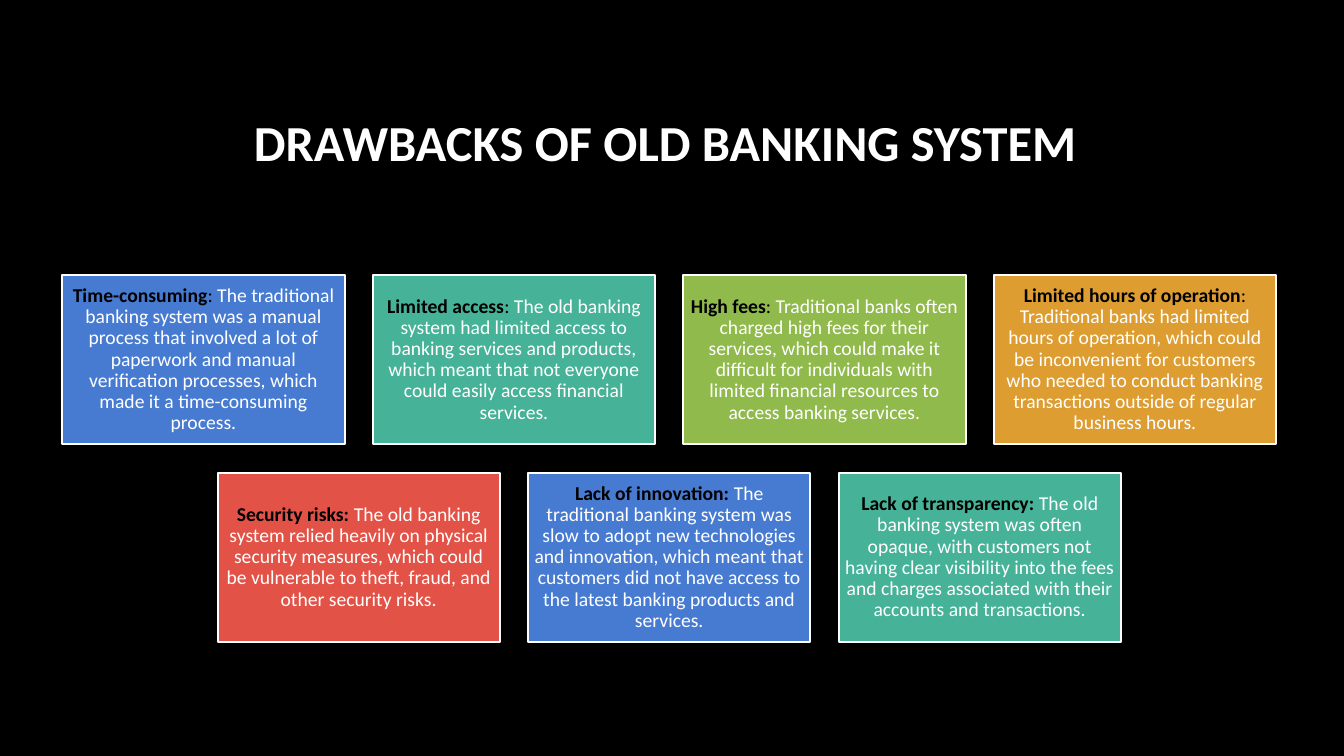
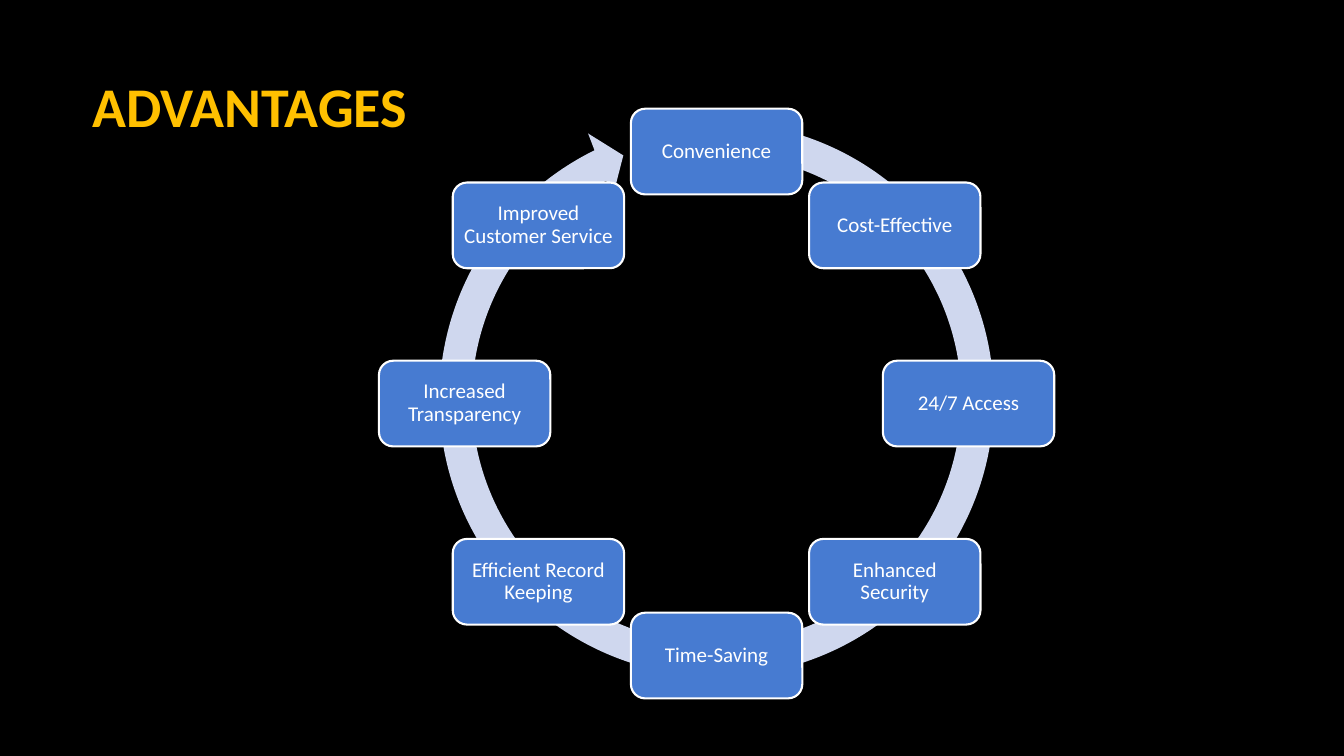
import math
from collections import namedtuple
from dataclasses import dataclass

from pptx import Presentation
from pptx.dml.color import RGBColor
from pptx.enum.shapes import MSO_SHAPE
from pptx.enum.text import MSO_ANCHOR, PP_ALIGN
from pptx.util import Cm, Pt

RECTANGLE = MSO_SHAPE.RECTANGLE
ROUNDED = MSO_SHAPE.ROUNDED_RECTANGLE
CIRCULAR_ARROW = MSO_SHAPE.CIRCULAR_ARROW
MIDDLE = MSO_ANCHOR.MIDDLE
CENTER = PP_ALIGN.CENTER

Box = namedtuple("Box", "left top width height")
Drawback = namedtuple("Drawback", "label colon body color")


@dataclass(frozen=True)
class Theme:
    font: str = "Calibri"
    black: str = "000000"
    white: str = "FFFFFF"
    gold: str = "FFC000"
    blue: str = "477BD1"
    teal: str = "46B298"
    green: str = "90BA4C"
    orange: str = "DD9D31"
    red: str = "E25247"
    ring: str = "CFD7EE"
    drawbacks_title: int = 36
    advantages_title: int = 40
    card_text: int = 14
    step_text: int = 15
    outline: float = 1.5
    inset: float = 0.14
    line_spacing: float = 0.9


THEME = Theme()

DRAWBACKS = [
    Drawback("Time-consuming", ":",
             " The traditional banking system was a manual process that involved a lot of "
             "paperwork and manual verification processes, which made it a time-consuming "
             "process.", THEME.blue),
    Drawback("Limited access", ":",
             " The old banking system had limited access to banking services and products, "
             "which meant that not everyone could easily access financial services.",
             THEME.teal),
    Drawback("High fees", ":",
             " Traditional banks often charged high fees for their services, which could "
             "make it difficult for individuals with limited financial resources to access "
             "banking services.", THEME.green),
    Drawback("Limited hours of operation", ":",
             " Traditional banks had limited hours of operation, which could be inconvenient "
             "for customers who needed to conduct banking transactions outside of regular "
             "business hours.", THEME.orange),
    Drawback("Security risks:", "",
             " The old banking system relied heavily on physical security measures, which "
             "could be vulnerable to theft, fraud, and other security risks.", THEME.red),
    Drawback("Lack of innovation: ", "",
             "The traditional banking system was slow to adopt new technologies and "
             "innovation, which meant that customers did not have access to the latest "
             "banking products and services.", THEME.blue),
    Drawback("Lack of transparency: ", "",
             "The old banking system was often opaque, with customers not having clear "
             "visibility into the fees and charges associated with their accounts and "
             "transactions.", THEME.teal),
]

ADVANTAGES = [
    "Convenience", "Cost-Effective", "24/7 Access", "Enhanced Security",
    "Time-Saving", "Efficient Record Keeping", "Increased Transparency",
    "Improved Customer Service",
]


def rgb(color):
    return RGBColor.from_string(color)


def lengths(box):
    return [Cm(value) for value in box]


def format_run(run, size, color, bold=False):
    run.font.name = THEME.font
    run.font.size = Pt(size)
    run.font.bold = bold
    run.font.color.rgb = rgb(color)


def add_dark_slide(deck):
    slide = deck.slides.add_slide(deck.slide_layouts[6])
    slide.background.fill.solid()
    slide.background.fill.fore_color.rgb = rgb(THEME.black)
    return slide


def add_title(slide, box, text, size, color):
    frame = slide.shapes.add_textbox(*lengths(box)).text_frame
    frame.word_wrap = True
    frame.vertical_anchor = MIDDLE
    frame.text = text
    heading = frame.paragraphs[0]
    heading.line_spacing = THEME.line_spacing
    format_run(heading.runs[0], size, color, bold=True)


def add_filled(slide, preset, box, color):
    shape = slide.shapes.add_shape(preset, *lengths(box))
    shape.shadow.inherit = False
    shape.fill.solid()
    shape.fill.fore_color.rgb = rgb(color)
    shape.line.fill.background()
    return shape


def add_panel(slide, preset, box, color, text):
    panel = add_filled(slide, preset, box, color)
    panel.line.color.rgb = rgb(THEME.white)
    panel.line.width = Pt(THEME.outline)
    frame = panel.text_frame
    frame.word_wrap = True
    frame.vertical_anchor = MIDDLE
    frame.margin_left = frame.margin_right = Cm(THEME.inset)
    frame.margin_top = frame.margin_bottom = Cm(THEME.inset)
    frame.text = text
    paragraph = frame.paragraphs[0]
    paragraph.alignment = CENTER
    paragraph.line_spacing = THEME.line_spacing
    return paragraph


def add_card(slide, box, drawback):
    paragraph = add_panel(slide, RECTANGLE, box, drawback.color, drawback.label)
    format_run(paragraph.runs[0], THEME.card_text, THEME.black, bold=True)
    for text, color in ((drawback.colon, THEME.black), (drawback.body, THEME.white)):
        if text:
            run = paragraph.add_run()
            run.text = text
            format_run(run, THEME.card_text, color)


def add_card_grid(slide, box, drawbacks, columns=4, gap=0.71):
    rows = math.ceil(len(drawbacks) / columns)
    width = (box.width - gap * (columns - 1)) / columns
    height = (box.height - gap * (rows - 1)) / rows
    for row in range(rows):
        members = drawbacks[row * columns:(row + 1) * columns]
        row_width = len(members) * (width + gap) - gap
        start = box.left + (box.width - row_width) / 2
        top = box.top + row * (height + gap)
        for column, drawback in enumerate(members):
            left = start + column * (width + gap)
            add_card(slide, Box(left, top, width, height), drawback)


def add_cycle(slide, box, steps, step_width=4.32, step_height=2.16):
    center_x = box.left + box.width / 2
    center_y = box.top + box.height / 2
    radius = (box.height - step_height) / 2
    ring_size = 14.88
    ring_lift = 0.11
    ring = add_filled(slide, CIRCULAR_ARROW,
                      Box(center_x - ring_size / 2, center_y - ring_size / 2 - ring_lift,
                          ring_size, ring_size), THEME.ring)
    for index, value in enumerate((0.055, 3.307, 146.13, 168.948, 0.058)):
        ring.adjustments[index] = value
    for index, step in enumerate(steps):
        angle = math.tau * index / len(steps)
        left = center_x + radius * math.sin(angle) - step_width / 2
        top = center_y - radius * math.cos(angle) - step_height / 2
        paragraph = add_panel(slide, ROUNDED, Box(left, top, step_width, step_height),
                              THEME.blue, step)
        format_run(paragraph.runs[0], THEME.step_text, THEME.white)


def build_drawbacks(deck):
    slide = add_dark_slide(deck)
    add_title(slide, Box(6.15, 1.65, 28.14, 4.04), "DRAWBACKS OF OLD BANKING SYSTEM",
              THEME.drawbacks_title, THEME.white)
    add_card_grid(slide, Box(1.57, 6.93, 30.59, 9.25), DRAWBACKS)


def build_advantages(deck):
    slide = add_dark_slide(deck)
    add_title(slide, Box(2.08, 0.74, 28.14, 4.04), "ADVANTAGES",
              THEME.advantages_title, THEME.gold)
    add_cycle(slide, Box(9.55, 2.74, 17.02, 14.86), ADVANTAGES)


def main():
    deck = Presentation()
    deck.slide_width = Cm(33.87)
    deck.slide_height = Cm(19.05)
    build_drawbacks(deck)
    build_advantages(deck)
    deck.save("out.pptx")


main()
